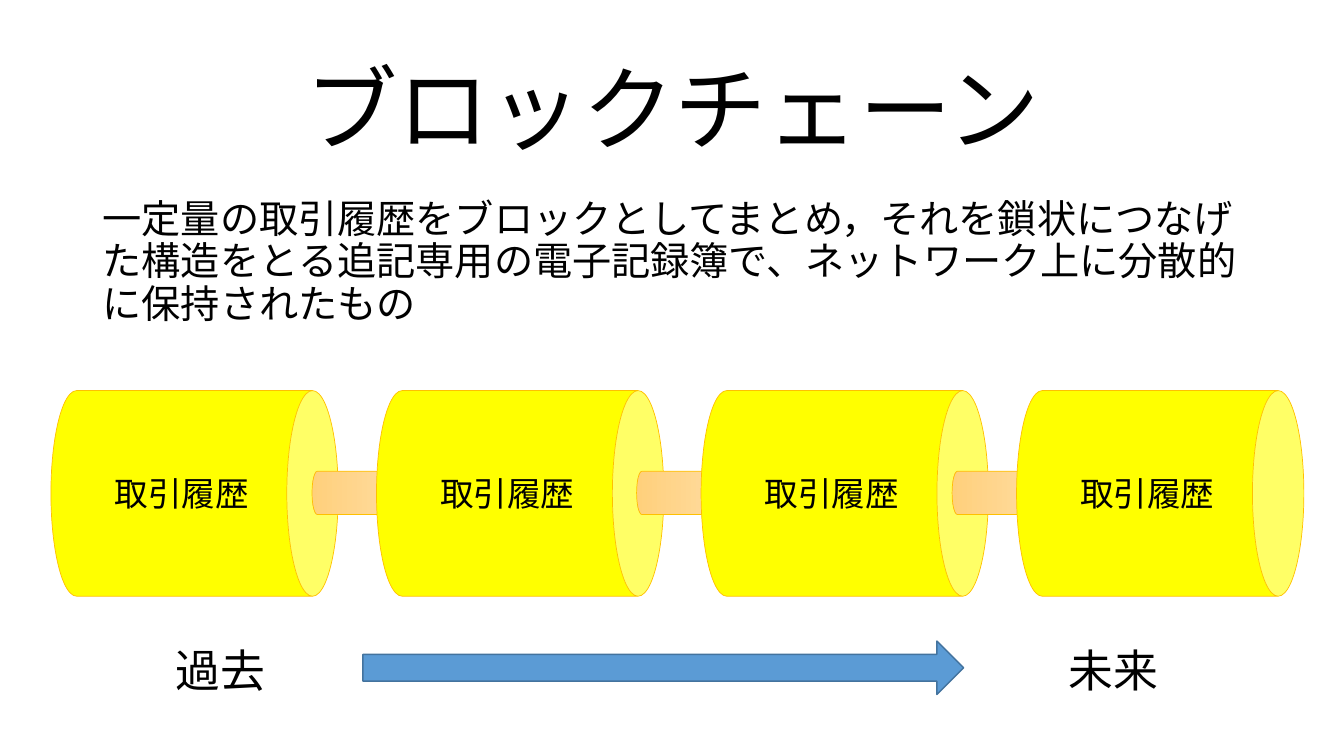
from pptx import Presentation
from pptx import util as u
from pptx.dml.color import RGBColor
from pptx.enum import lang, shapes, text

PX = 9144  # EMU per px, 100 px to the inch
BLACK = RGBColor(0, 0, 0)
WHITE = RGBColor(255, 255, 255)
YELLOW = RGBColor(255, 255, 0)
GOLD = RGBColor(255, 192, 0)
PALE = RGBColor(255, 219, 158)
TAN = RGBColor(255, 208, 124)
BLUE = RGBColor(91, 155, 213)
NAVY = RGBColor(67, 115, 158)
KIND = shapes.MSO_SHAPE


def write(shape, words, size, align="CENTER", anchor="MIDDLE", gap=None, before=0):
    frame = shape.text_frame
    frame.word_wrap = True
    frame.vertical_anchor = text.MSO_ANCHOR[anchor]
    para = frame.paragraphs[0]
    para.alignment = text.PP_ALIGN[align]
    para.line_spacing = gap
    para.space_before = u.Pt(before)
    run = para.add_run()
    run.text = words
    run.font.size = u.Pt(size)
    run.font.name = "Calibri"
    run.font.color.rgb = BLACK
    run.font.language_id = lang.MSO_LANGUAGE_ID.JAPANESE


def label(slide, box, words, size, **look):
    write(slide.shapes.add_textbox(*(n * PX for n in box)), words, size, **look)


def draw(slide, kind, box, line, width, fill=None):
    shape = slide.shapes.add_shape(kind, *(n * PX for n in box))
    shape.shadow.inherit = False
    if fill is not None:
        shape.fill.solid()
        shape.fill.fore_color.rgb = fill
    shape.line.color.rgb = line
    shape.line.width = u.Pt(width)
    return shape


def lying_can(slide, box, fill=None):
    """Fill the box with a can turned on its side, its lid to the right."""
    left, top, wide, high = box
    shift = (wide - high) // 2
    can = draw(slide, KIND.CAN, (left + shift, top - shift, high, wide), GOLD, 0.5, fill)
    can.rotation = 90
    return can


def link(slide, box):
    fill = lying_can(slide, box).fill
    fill.gradient()
    fill.gradient_angle = 270
    for stop, color in zip(fill.gradient_stops, (PALE, TAN)):
        stop.color.rgb = color


def block(slide, box):
    can = lying_can(slide, box, YELLOW)
    write(can, "取引履歴", 24)
    can.text_frame._txBody.bodyPr.set("vert", "vert270")


def chain(slide, box, steps):
    """Draw a block at each step from the left, linked to the one before."""
    left, top, wide, high = box
    for step in steps:
        if step:
            link(slide, (left + step - 64, top + high // 2 - 22, 84, 43))
        block(slide, (left + step, top, wide, high))


def timeline(slide, box):
    left, top, wide, high = box
    draw(slide, KIND.RIGHT_ARROW, (left + 258, top + 22, 596, 53), NAVY, 1, BLUE)
    for start, width, words in ((0, 234, "過去"), (wide - 272, 272, "未来")):
        end = draw(slide, KIND.RECTANGLE, (left + start, top, width, high), WHITE, 1, WHITE)
        write(end, words, 32)


def main():
    deck = Presentation()
    deck.slide_width, deck.slide_height = u.Emu(12192000), u.Emu(6858000)
    slide = deck.slides.add_slide(deck.slide_layouts[6])
    label(slide, (92, 40, 1150, 145), "ブロックチェーン", 66, gap=0.9)
    label(slide, (92, 193, 1150, 398),
          "一定量の取引履歴をブロックとしてまとめ，それを鎖状につなげた構造をとる"
          "追記専用の電子記録簿で、ネットワーク上に分散的に保持されたもの",
          28, align="LEFT", anchor="TOP", gap=0.9, before=10)
    chain(slide, (51, 387, 285, 204), (0, 323, 645, 958))
    timeline(slide, (102, 614, 1139, 100))
    deck.save("out.pptx")


if __name__ == "__main__":
    main()
